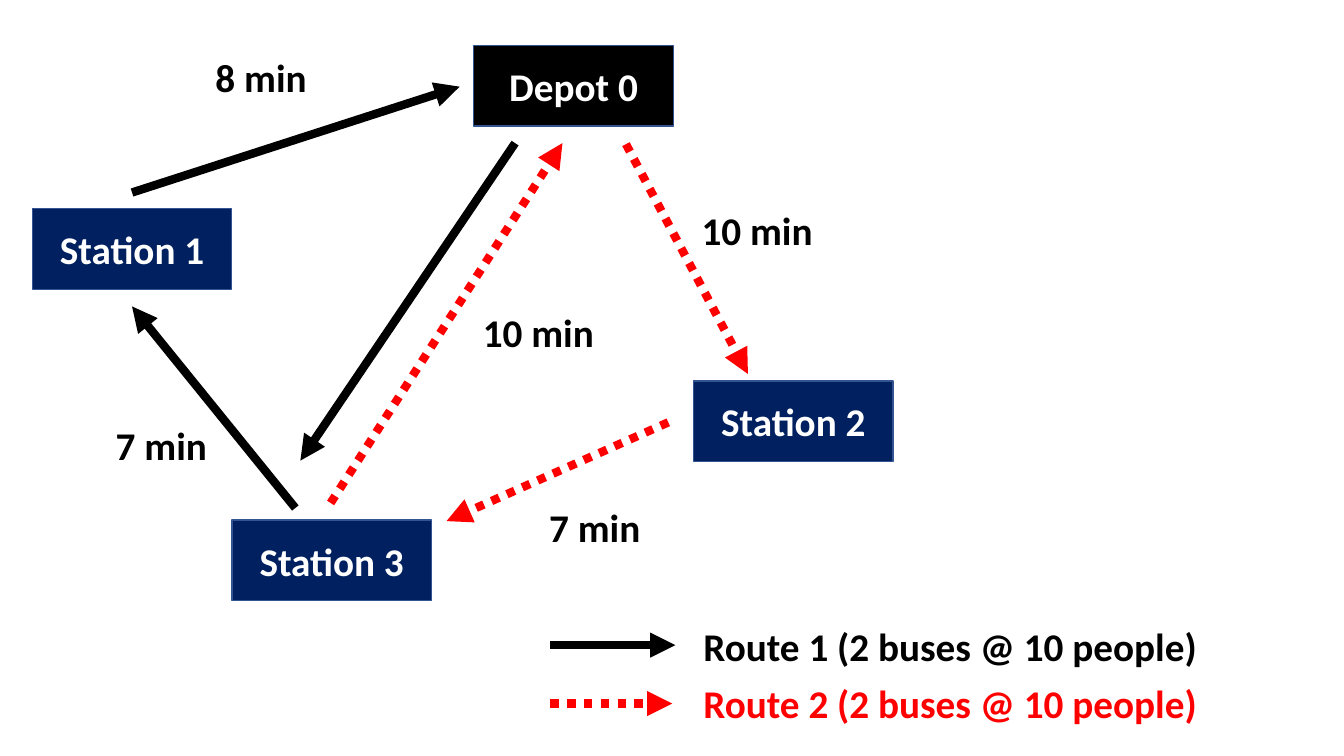
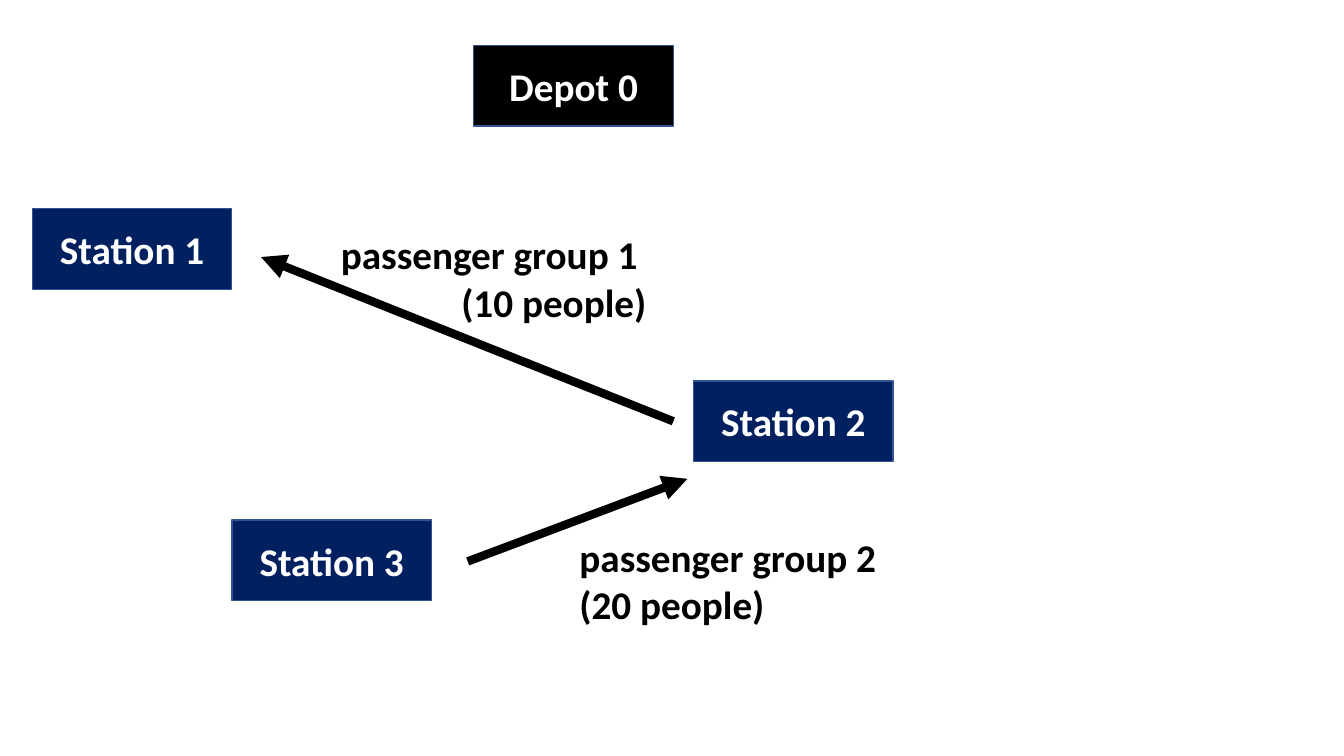
import dataclasses

import lxml.etree
import pptx
import pptx.dml.color
import pptx.enum.dml
import pptx.enum.shapes
import pptx.enum.text
import pptx.oxml.ns
import pptx.util

ALIGN = pptx.enum.text.PP_ALIGN


@dataclasses.dataclass(frozen=True)
class Theme:
    font: str = "Calibri"
    size: int = 28
    edge: int = 1
    route: int = 6
    black: str = "000000"
    white: str = "FFFFFF"
    navy: str = "002060"
    blue: str = "325491"
    red: str = "FF0000"
    cell: float = 0.1
    cols: float = 133.33
    rows: float = 75
    box: tuple = (19.8, 8)


THEME = Theme()


class Deck:
    def __init__(self, theme):
        self.theme = theme
        self.show = pptx.Presentation()
        self.show.slide_width = self.grid(theme.cols)
        self.show.slide_height = self.grid(theme.rows)
        self.slide = None

    def grid(self, count):
        return pptx.util.Inches(count * self.theme.cell)

    def color(self, tone):
        return pptx.dml.color.RGBColor.from_string(tone)

    def add(self):
        self.slide = self.show.slides.add_slide(self.show.slide_layouts[6])

    def letter(self, frame, text, tone, align):
        frame.text = text
        for para in frame.paragraphs:
            para.alignment = align
            for run in para.runs:
                run.font.name = self.theme.font
                run.font.size = pptx.util.Pt(self.theme.size)
                run.font.bold = True
                run.font.color.rgb = self.color(tone)

    def stop(self, name, col, row, fill=THEME.navy):
        place = map(self.grid, (col, row, *self.theme.box))
        kind = pptx.enum.shapes.MSO_SHAPE.RECTANGLE
        box = self.slide.shapes.add_shape(kind, *place)
        box.shadow.inherit = False
        box.fill.solid()
        box.fill.fore_color.rgb = self.color(fill)
        box.line.color.rgb = self.color(self.theme.blue)
        box.line.width = pptx.util.Pt(self.theme.edge)
        box.text_frame.vertical_anchor = pptx.enum.text.MSO_ANCHOR.MIDDLE
        self.letter(box.text_frame, name, self.theme.white, ALIGN.CENTER)

    def label(self, text, col, row, wide, high=5.7, align=ALIGN.CENTER, tone=THEME.black):
        place = map(self.grid, (col, row, wide, high))
        frame = self.slide.shapes.add_textbox(*place).text_frame
        frame.word_wrap = False
        frame.auto_size = pptx.enum.text.MSO_AUTO_SIZE.SHAPE_TO_FIT_TEXT
        self.letter(frame, text, tone, align)

    def arrow(self, start, end, tone=THEME.black):
        kind = pptx.enum.shapes.MSO_CONNECTOR.STRAIGHT
        link = self.slide.shapes.add_connector(kind, *map(self.grid, start + end))
        link.line.color.rgb = self.color(tone)
        link.line.width = pptx.util.Pt(self.theme.route)
        if tone == self.theme.red:
            link.line.dash_style = pptx.enum.dml.MSO_LINE.ROUND_DOT
        props = link.element.spPr
        stroke = props.find(pptx.oxml.ns.qn("a:ln"))
        lxml.etree.SubElement(stroke, pptx.oxml.ns.qn("a:tailEnd"), type="triangle")
        lxml.etree.SubElement(props, pptx.oxml.ns.qn("a:effectLst"))

    def stops(self):
        self.stop("Station 1", 3.2, 20.7)
        self.stop("Station 2", 68.8, 37.8)
        self.stop("Station 3", 23, 51.6)
        self.stop("Depot 0", 47, 4.5, self.theme.black)


def routes(deck):
    deck.add()
    deck.stops()
    for start, end, tone in (
        ((13.1, 19.1), (45.6, 8.6), THEME.black),
        ((29.3, 50.4), (13.1, 30.4), THEME.black),
        ((51.1, 14.2), (29.8, 45.7), THEME.black),
        ((62.1, 14.3), (74.2, 37.1), THEME.red),
        ((66.3, 41.9), (44.3, 51.7), THEME.red),
        ((32.8, 49.9), (55.8, 14.2), THEME.red),
    ):
        deck.arrow(start, end, tone)
    for time, col, row, wide in (
        ("10 min", 68.5, 20, 13.2),
        ("7 min", 53.4, 49.4, 11.2),
        ("7 min", 10.4, 41.3, 11.2),
        ("8 min", 20.3, 4.8, 11.2),
        ("10 min", 46.8, 30.1, 13.2),
    ):
        deck.label(time, col, row, wide)
    for index, (tone, end) in enumerate(((THEME.black, 67), (THEME.red, 66.7))):
        row = 64 + index * 5.8
        deck.arrow((54.6, row), (end, row), tone)
        text = f"Route {index + 1} (2 buses @ 10 people)"
        deck.label(text, 68.8, 61.2 + index * 5.7, 51.5, align=ALIGN.LEFT, tone=tone)


def groups(deck):
    deck.add()
    deck.stops()
    deck.arrow((66.8, 41.8), (25.9, 25.5))
    deck.arrow((46.4, 55.7), (68.2, 47.5))
    deck.label("passenger group 1 \n(10 people)", 32.4, 22.4, 32.7, 10.4, ALIGN.RIGHT)
    deck.label("passenger group 2\n(20 people)", 56.5, 52.4, 32.7, 10.4, ALIGN.LEFT)


def main():
    deck = Deck(THEME)
    routes(deck)
    groups(deck)
    deck.show.save("out.pptx")


if __name__ == "__main__":
    main()
